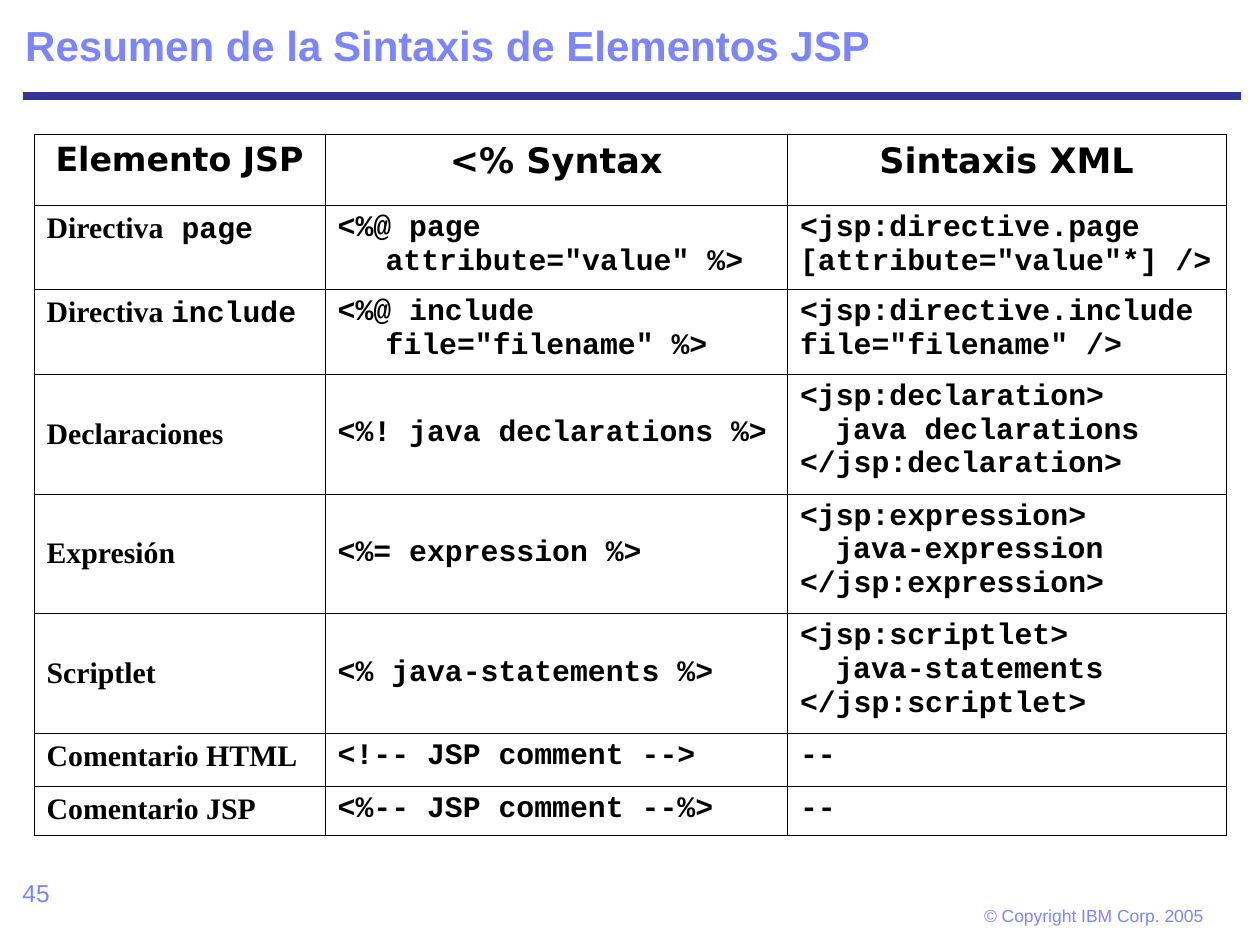
from lxml.etree import SubElement
from pptx import Presentation
from pptx.dml.color import RGBColor
from pptx.enum.shapes import MSO_CONNECTOR
from pptx.enum.text import MSO_ANCHOR, PP_ALIGN
from pptx.oxml.ns import qn
from pptx.util import Inches, Pt

HEADING, SERIF, CODE = "DejaVu Sans", "Times New Roman", "Courier New"
LILAC, NAVY, BLACK = "7C85FC", "333399", "000000"
HANG = 0.38
CODE_INDENT = 0.28

COLUMN_WIDTHS = [2.31, 3.67, 3.48]
ROW_HEIGHTS = [0.56, 0.67, 0.67, 0.95, 0.95, 0.95, 0.42, 0.39]
HEADERS = [("Elemento JSP", 19), ("<% Syntax", 20), ("Sintaxis XML", 20)]
# Element as (serif part, code part), JSP syntax, lines of XML syntax
ELEMENTS = [
    (("Directiva", " page"), '<%@ page attribute="value" %>',
     ['<jsp:directive.page [attribute="value"*] />']),
    (("Directiva ", "include"), '<%@ include file="filename" %>',
     ['<jsp:directive.include file="filename" />']),
    (("Declaraciones", ""), "<%! java declarations %>",
     ["<jsp:declaration>", "java declarations </jsp:declaration>"]),
    (("Expresión", ""), "<%= expression %>",
     ["<jsp:expression>", "java-expression </jsp:expression>"]),
    (("Scriptlet", ""), "<% java-statements %>",
     ["<jsp:scriptlet>", "java-statements </jsp:scriptlet>"]),
    (("Comentario HTML", ""), "<!-- JSP comment -->", ["--"]),
    (("Comentario JSP", ""), "<%-- JSP comment --%>", ["--"]),
]


def color(hex_string):
    return RGBColor.from_string(hex_string)


def set_font(font, name, size, hex_string, bold=False):
    font.name, font.size, font.bold = name, Pt(size), bold
    font.color.rgb = color(hex_string)


def set_indent(paragraph, left, first):
    properties = paragraph._p.get_or_add_pPr()
    properties.set("marL", str(Inches(left)))
    properties.set("indent", str(Inches(first)))


def frame_cell(cell):
    """Thin black border on all sides, no fill."""
    properties = cell._tc.get_or_add_tcPr()
    for side in ("a:lnL", "a:lnR", "a:lnT", "a:lnB"):
        border = SubElement(properties, qn(side), w=str(Pt(0.45)))
        fill = SubElement(border, qn("a:solidFill"))
        SubElement(fill, qn("a:srgbClr"), val=BLACK)
    cell.fill.background()


def add_title(slide, left, top, width, height):
    title = slide.shapes.title
    title.left, title.top = Inches(left), Inches(top)
    title.width, title.height = Inches(width), Inches(height)
    title.text_frame.text = "Resumen de la Sintaxis de Elementos JSP"
    title.text_frame.vertical_anchor = MSO_ANCHOR.TOP
    heading = title.text_frame.paragraphs[0]
    heading.alignment = PP_ALIGN.LEFT
    heading.line_spacing = 0.93
    set_font(heading.font, "Arial", 24, LILAC, True)


def add_rule(slide, left, top, width):
    rule = slide.shapes.add_connector(
        MSO_CONNECTOR.STRAIGHT, Inches(left), Inches(top), Inches(left + width), Inches(top))
    rule.line.color.rgb = color(NAVY)
    rule.line.width = Pt(4.5)
    SubElement(rule._element.spPr, qn("a:effectLst"))


def add_footer_text(slide, left, top, width, height, text, size, inset_x, inset_y):
    box = slide.shapes.add_textbox(Inches(left), Inches(top), Inches(width), Inches(height))
    frame = box.text_frame
    frame.word_wrap = True
    frame.margin_left = frame.margin_right = Inches(inset_x)
    frame.margin_top = frame.margin_bottom = Inches(inset_y)
    frame.text = text
    set_font(frame.paragraphs[0].font, "Arial", size, LILAC)


def fill_header(cell, text, size):
    cell.text = text
    paragraph = cell.text_frame.paragraphs[0]
    paragraph.alignment = PP_ALIGN.CENTER
    set_indent(paragraph, HANG, -HANG)
    set_font(paragraph.font, HEADING, size, BLACK, True)


def fill_element(cell, label, keyword):
    paragraph = cell.text_frame.paragraphs[0]
    set_indent(paragraph, HANG, -HANG)
    for text, font_name in ((label, SERIF), (keyword, CODE)):
        if text:
            run = paragraph.add_run()
            run.text = text
            set_font(run.font, font_name, 17, BLACK, True)


def fill_code(cell, lines, left=0, first=0):
    """Code lines; every line after the first starts two characters in."""
    cell.text = "\n".join(lines)
    for number, paragraph in enumerate(cell.text_frame.paragraphs):
        set_indent(paragraph, left, CODE_INDENT if number else first)
        set_font(paragraph.font, CODE, 17, BLACK, True)


def add_syntax_table(slide, left, top):
    table = slide.shapes.add_table(
        len(ROW_HEIGHTS), len(COLUMN_WIDTHS), Inches(left), Inches(top),
        Inches(sum(COLUMN_WIDTHS)), Inches(sum(ROW_HEIGHTS))).table
    table.first_row = table.horz_banding = False
    for column, width in zip(table.columns, COLUMN_WIDTHS):
        column.width = Inches(width)
    for row, height in zip(table.rows, ROW_HEIGHTS):
        row.height = Inches(height)
    for cell in table.iter_cells():
        frame_cell(cell)

    for column, (text, size) in enumerate(HEADERS):
        fill_header(table.cell(0, column), text, size)
    for row, (element, jsp, xml_lines) in enumerate(ELEMENTS, start=1):
        element_cell, jsp_cell, xml_cell = table.rows[row].cells
        fill_element(element_cell, *element)
        fill_code(jsp_cell, [jsp], HANG, -HANG)
        fill_code(xml_cell, xml_lines)
        if len(xml_lines) > 1:
            element_cell.vertical_anchor = jsp_cell.vertical_anchor = MSO_ANCHOR.MIDDLE


def main():
    presentation = Presentation()
    presentation.slide_width, presentation.slide_height = Inches(10), Inches(7.5)
    slide = presentation.slides.add_slide(presentation.slide_layouts[5])
    add_rule(slide, 0.18, 0.76, 9.67)
    add_footer_text(slide, 0.08, 6.92, 2.08, 0.5, "45", 14, 0.1, 0.05)
    add_footer_text(slide, 7.62, 7.11, 2.13, 0.32, "© Copyright IBM Corp. 2005", 10, 0.19, 0.07)
    add_title(slide, 0.1, 0.14, 9.72, 0.56)
    add_syntax_table(slide, 0.27, 1.07)
    presentation.save("out.pptx")


if __name__ == "__main__":
    main()
